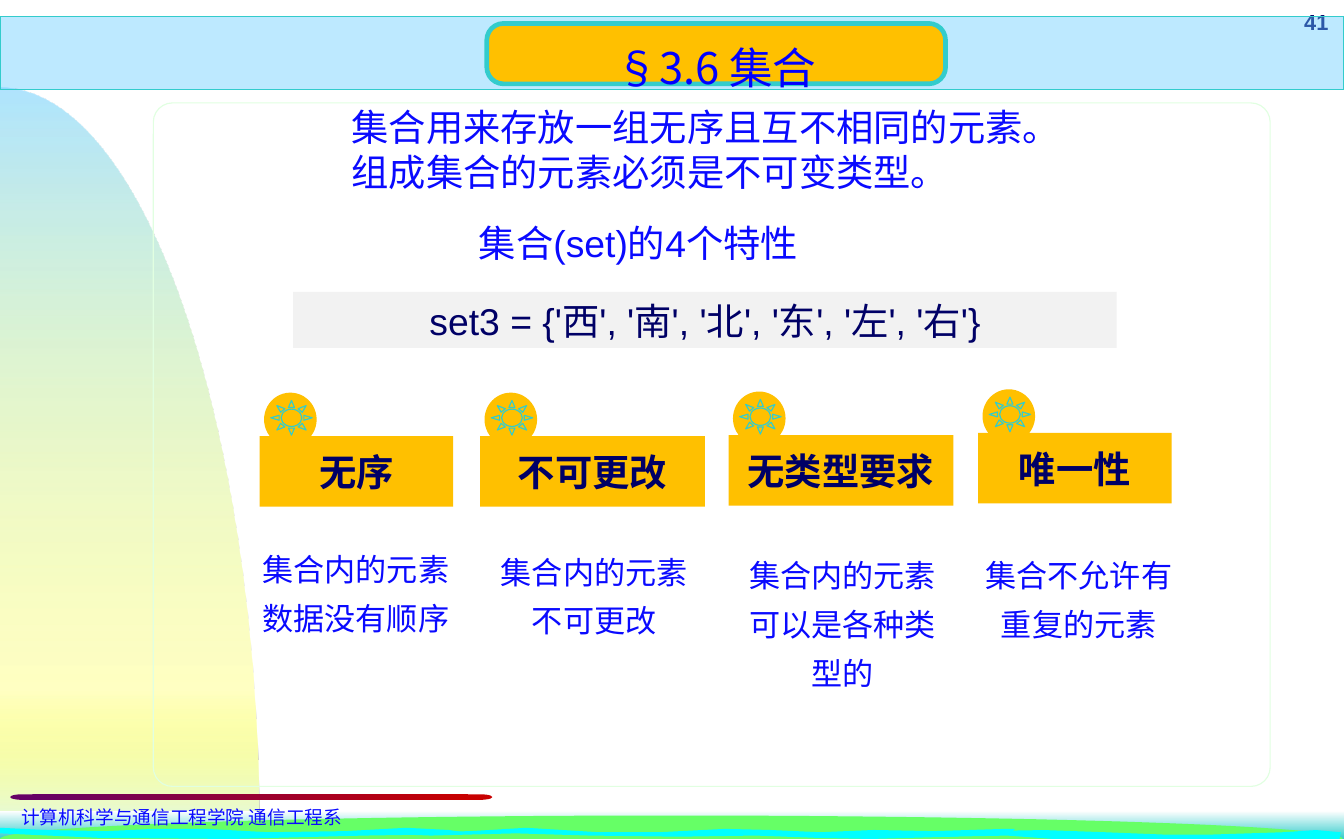
from math import cos, pi, sin

from lxml.etree import SubElement
from pptx import Presentation
from pptx.dml.color import RGBColor
from pptx.enum.shapes import MSO_SHAPE
from pptx.enum.text import MSO_ANCHOR, MSO_AUTO_SIZE, PP_ALIGN
from pptx.oxml.ns import qn
from pptx.util import Inches, Pt

SLIDE_WIDTH, SLIDE_HEIGHT = 12.01, 7.5
BLUE, NAVY, AMBER, TEAL = "0A0AFF", "000066", "FFC000", "33CCCC"
CJK = "Noto Sans CJK SC"

LEAD = {"size": Pt(24), "name": "Arial", "color": BLUE}
DETAIL = LEAD | {"size": Pt(20)}
FOOTER = LEAD | {"size": Pt(12)}
CODE = LEAD | {"color": NAVY}
NUMBER = {"size": Pt(14), "name": "Arial", "color": NAVY, "bold": True}
LABEL = {"size": Pt(24), "name": "Noto Sans CJK JP", "color": NAVY, "bold": True}
HEADING = {"size": Pt(28), "name": CJK, "color": "0000FF", "bold": False}

CENTERED = {"alignment": PP_ALIGN.CENTER}
LEAD_LINES = {"line_spacing": Pt(29), "space_before": Pt(0)}
DETAIL_LINES = CENTERED | {"line_spacing": Pt(31.5)}

WAVES = [
    [(8.74, 7.43), (9.33, 7.42), (9.88, 7.44), (10.39, 7.46), (10.84, 7.46),
     (11.46, 7.44), (11.76, 7.42), (11.98, 7.44), (11.97, 7.5), (9.42, 7.5),
     (9, 7.47), (8.44, 7.48)],
    [(9.07, 7.41), (9.03, 7.45), (8.5, 7.48), (7.78, 7.5), (7.29, 7.49),
     (6.75, 7.47), (6.06, 7.48), (5.27, 7.47), (4.61, 7.45), (3.85, 7.47),
     (3.59, 7.46), (3.73, 7.44), (4.21, 7.43), (4.7, 7.4), (5.35, 7.44),
     (5.89, 7.44), (6.48, 7.41), (6.88, 7.42), (7.33, 7.44), (7.81, 7.42),
     (8.34, 7.43), (8.98, 7.41)],
    [(3.91, 7.46), (3.26, 7.47), (2.07, 7.5), (0.88, 7.49), (0, 7.45),
     (0, 7.4), (0.4, 7.42), (0.95, 7.43), (1.38, 7.41), (1.84, 7.41),
     (2.4, 7.44), (3.09, 7.43), (3.63, 7.4), (4.01, 7.42), (4.21, 7.45)],
]

# label, label box (left, top, width), detail, detail position (left, top, height)
TRAITS = [
    ("无序", (2.32, 3.9, 1.73), "集合内的元素数据没有顺序", (2.19, 4.77, 0.93)),
    ("不可更改", (4.29, 3.9, 2.01), "集合内的元素不可更改", (4.32, 4.79, 0.93)),
    ("无类型要求", (6.51, 3.89, 2.01), "集合内的元素可以是各种类型的", (6.54, 4.82, 1.41)),
    ("唯一性", (8.74, 3.87, 1.73), "集合不允许有重复的元素", (8.65, 4.82, 0.93)),
]


def rgb(color):
    return RGBColor.from_string(color)


def arc(center, radii, start, end, steps=60):
    """Points on an ellipse, with angles counted from the right, upwards."""
    angles = [start + (end - start) * step / steps for step in range(steps + 1)]
    return [(center[0] + radii[0] * cos(a), center[1] - radii[1] * sin(a))
            for a in angles]


class SlideBuilder:
    def __init__(self, slide):
        self.slide = slide
        self.shapes = slide.shapes

    def paint(self, shape, fill=None, alpha=None, line=None, weight=0.75):
        shape.shadow.inherit = False
        if fill:
            shape.fill.solid()
            shape.fill.fore_color.rgb = rgb(fill)
            if alpha:
                tint = shape.element.spPr.find(qn("a:solidFill"))[0]
                SubElement(tint, qn("a:alpha"), val=str(alpha * 1000))
        else:
            shape.fill.background()
        if line:
            shape.line.color.rgb = rgb(line)
            shape.line.width = Pt(weight)
        else:
            shape.line.fill.background()
        return shape

    def shade(self, shape, stops, angle):
        """Give a painted shape a gradient of (position, colour, opacity) stops."""
        solid = shape.element.spPr.find(qn("a:solidFill"))
        gradient = solid.makeelement(qn("a:gradFill"), {"rotWithShape": "1"})
        stop_list = SubElement(gradient, qn("a:gsLst"))
        for position, color, opacity in stops:
            stop = SubElement(stop_list, qn("a:gs"), pos=str(position * 1000))
            tint = SubElement(stop, qn("a:srgbClr"), val=color)
            SubElement(tint, qn("a:alpha"), val=str(opacity * 1000))
        SubElement(gradient, qn("a:lin"), ang=str(angle * 60000), scaled="0")
        solid.getparent().replace(solid, gradient)

    def shape(self, kind, box, **paint):
        return self.paint(self.shapes.add_shape(kind, *map(Inches, box)), **paint)

    def outline(self, points, fill):
        corners = [(Inches(x), Inches(y)) for x, y in points]
        builder = self.shapes.build_freeform(*corners[0], scale=1.0)
        builder.add_line_segments(corners[1:], close=True)
        return self.paint(builder.convert_to_shape(), fill=fill)

    def set_text(self, holder, lines, style, layout, anchor=MSO_ANCHOR.TOP, indent=0):
        frame = holder.text_frame
        frame.word_wrap = True
        frame.auto_size = MSO_AUTO_SIZE.NONE
        frame.vertical_anchor = anchor
        frame.text = "\n".join(lines)
        for paragraph in frame.paragraphs:
            for name, value in layout.items():
                setattr(paragraph, name, value)
            properties = paragraph._p.get_or_add_pPr()
            properties.set("marL", str(Inches(indent)))
            properties.set("indent", "0")
            SubElement(properties, qn("a:buNone"))
            run = paragraph.runs[0]
            for name, value in style.items():
                if name == "color":
                    run.font.color.rgb = rgb(value)
                else:
                    setattr(run.font, name, value)
            east_asian = CJK if style["name"] == "Arial" else style["name"]
            SubElement(run.font._element, qn("a:ea"), typeface=east_asian)

    def text(self, box, lines, style, layout, **options):
        holder = self.shapes.add_textbox(*map(Inches, box))
        self.set_text(holder, lines, style, layout, **options)

    def placeholder(self, index, box, lines, style, layout, **options):
        """Move a template placeholder to the front and fill it."""
        holder = self.slide.placeholders[index]
        for side, value in zip(("left", "top", "width", "height"), box):
            setattr(holder, side, Inches(value))
        holder.element.getparent().append(holder.element)
        self.set_text(holder, lines, style, layout, **options)

    def backdrop(self):
        hill = self.outline(
            [(0, SLIDE_HEIGHT)] + arc((0, SLIDE_HEIGHT), (2.32, 6.72), 0, pi / 2),
            "FFFF00")
        self.shade(hill, [(0, "66CCFF", 52), (80, "FFFF00", 23),
                          (100, "DFF9F9", 100)], 90)
        water = self.shape(MSO_SHAPE.RECTANGLE, (0, 7.25, SLIDE_WIDTH, 0.25), fill=TEAL)
        self.shade(water, [(0, "FFFFFF", 100), (100, TEAL, 100)], 90)
        self.outline(arc((6, SLIDE_HEIGHT), (6, 0.21), 0, pi), "66FF66")
        for wave in WAVES:
            self.outline(wave, "00FFFF")
        self.text((11.21, 0.03, 0.76, 0.33), ["41"], NUMBER,
                  {"alignment": PP_ALIGN.RIGHT})
        panel = self.shape(MSO_SHAPE.ROUNDED_RECTANGLE, (1.37, 0.92, 9.98, 6.11),
                           line="E1FFE1")
        panel.adjustments[0] = 0.028

    def footer(self):
        rule = self.shape(MSO_SHAPE.RECTANGLE, (0.29, 7.1, 3.89, 0.05), fill="660066")
        self.shade(rule, [(0, "660066", 100), (100, "C80000", 100)], 0)
        for left, color, turn in ((0.09, "660066", 180), (4.18, "C80000", 0)):
            cap = self.shape(MSO_SHAPE.FLOWCHART_DELAY, (left, 7.1, 0.22, 0.05),
                             fill=color)
            cap.rotation = turn
        self.text((0.09, 7.15, 4.4, 0.3), ["计算机科学与通信工程学院 通信工程系"],
                  FOOTER, {"line_spacing": Pt(14.5)})

    def heading(self, title):
        self.shape(MSO_SHAPE.RECTANGLE, (0, 0.15, SLIDE_WIDTH, 0.65),
                   fill="66CCFF", alpha=43, line=TEAL)
        box = (4.35, 0.21, 4.1, 0.54)
        plate = self.shape(MSO_SHAPE.ROUNDED_RECTANGLE, box, fill=AMBER,
                           line=TEAL, weight=3)
        plate.adjustments[0] = 0.277
        self.placeholder(0, box, [title], HEADING, CENTERED | {"line_spacing": 1.5},
                         anchor=MSO_ANCHOR.MIDDLE)

    def trait(self, label, label_box, detail, detail_box):
        left, top, width = label_box
        tag = self.shape(MSO_SHAPE.RECTANGLE, (left, top, width, 0.63), fill=AMBER)
        self.set_text(tag, [label], LABEL, CENTERED, anchor=MSO_ANCHOR.MIDDLE)
        self.shape(MSO_SHAPE.FLOWCHART_SEQUENTIAL_ACCESS_STORAGE,
                   (left + 0.04, top - 0.39, 0.47, 0.48), fill=AMBER)
        self.shape(MSO_SHAPE.SUN, (left + 0.1, top - 0.32, 0.37, 0.31), line=TEAL)
        left, top, height = detail_box
        self.text((left, top, 1.98, height), [detail], DETAIL, DETAIL_LINES)


def main():
    deck = Presentation()
    deck.slide_width, deck.slide_height = Inches(SLIDE_WIDTH), Inches(SLIDE_HEIGHT)
    page = SlideBuilder(deck.slides.add_slide(deck.slide_layouts[1]))
    page.backdrop()
    page.footer()
    page.heading("§3.6 集合")
    page.placeholder(1, (2.82, 0.88, 7.64, 0.91),
                     ["集合用来存放一组无序且互不相同的元素。", "组成集合的元素必须是不可变类型。"],
                     LEAD, LEAD_LINES, indent=0.22)
    page.text((3.96, 1.92, 3.78, 0.5), ["集合(set)的4个特性"], LEAD, LEAD_LINES,
              indent=0.22)
    for trait in TRAITS:
        page.trait(*trait)
    example = page.shape(MSO_SHAPE.RECTANGLE, (2.62, 2.61, 7.36, 0.5), fill="F2F2F2")
    page.set_text(example, ["set3 = {'西', '南', '北', '东', '左', '右'}"], CODE,
                  LEAD_LINES | CENTERED)
    deck.save("out.pptx")


if __name__ == "__main__":
    main()
